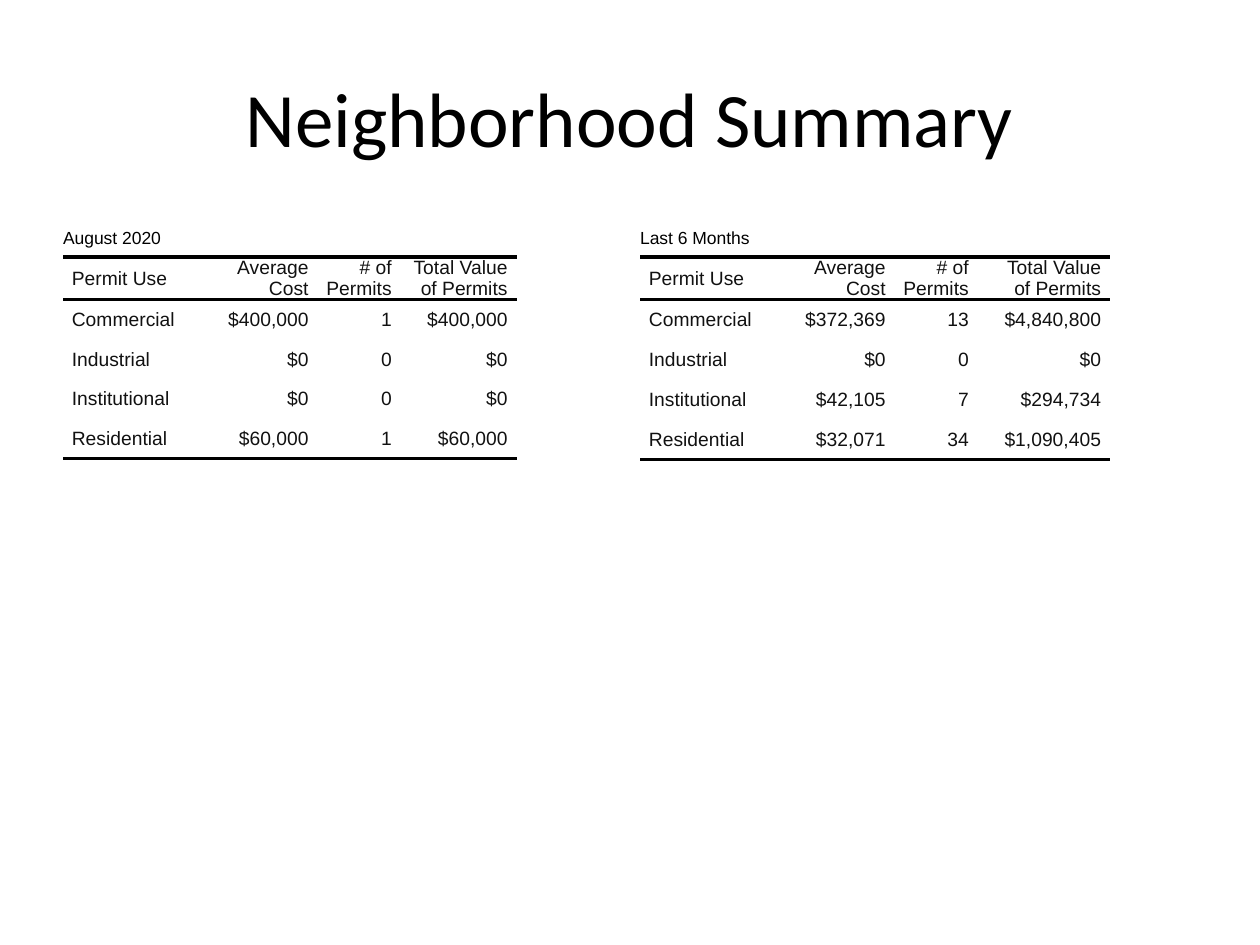
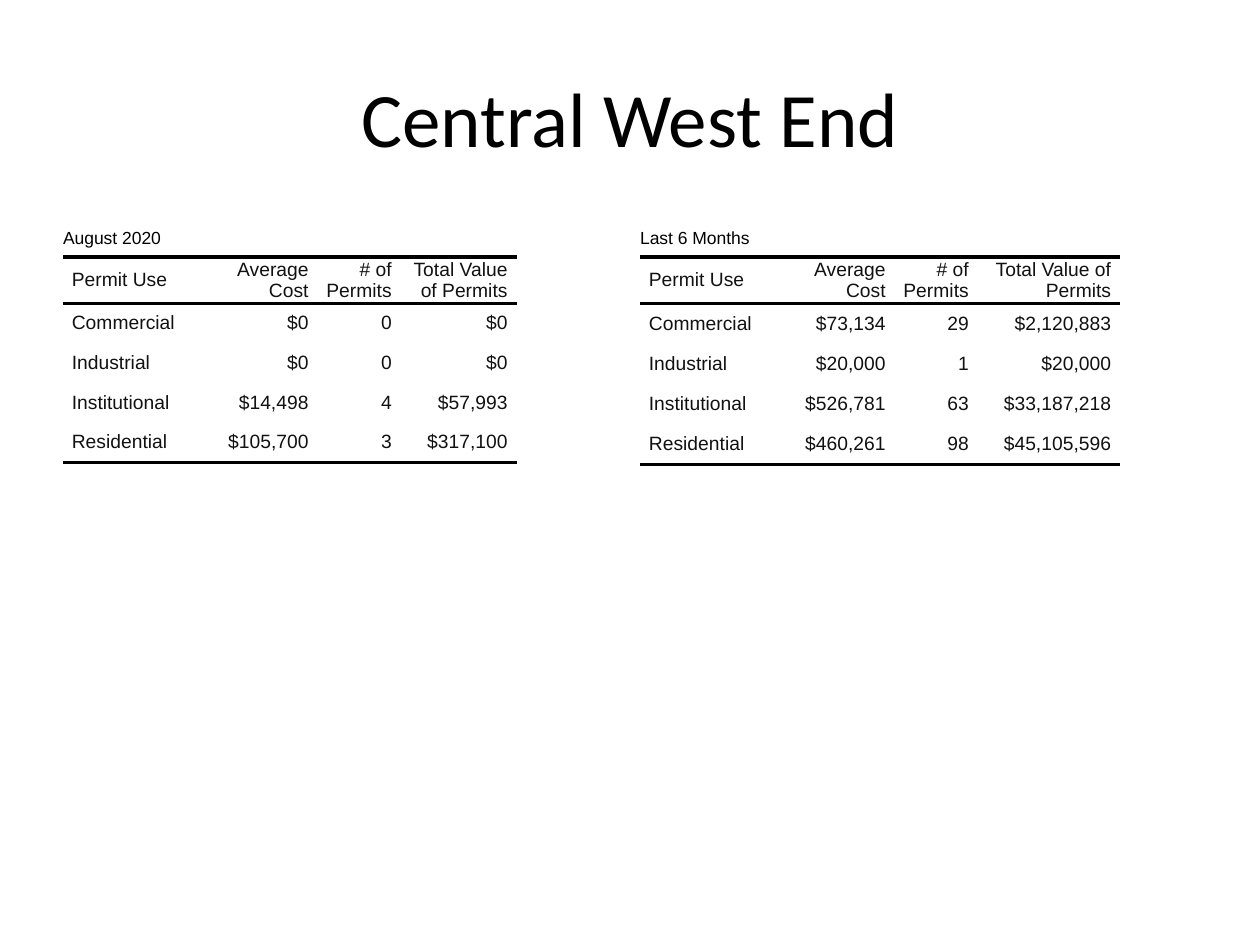
from lxml import etree
from pptx import Presentation
from pptx.dml.color import RGBColor
from pptx.enum.text import MSO_ANCHOR, PP_ALIGN
from pptx.oxml.ns import qn
from pptx.util import Inches, Pt

LEFT, MID, RIGHT = PP_ALIGN.LEFT, PP_ALIGN.CENTER, PP_ALIGN.RIGHT
MIDDLE = MSO_ANCHOR.MIDDLE
PLAIN = "{2D5ABB26-0587-4C30-8999-92F81FD0307C}"  # no style, no grid

# Slide grid: 20 columns by 15 rows
WIDE, HIGH = Inches(10), Inches(7.5)
COLS, ROWS = 20, 15

HEAD = ["Permit Use", "Average Cost", "# of Permits", "Total Value of Permits"]
USES = ["Commercial", "Industrial", "Institutional", "Residential"]

# Each table: caption, left, last column width, body height, values by use
DECK = [
    ("Neighborhood Summary", [
        ("August 2020", 1, 1.84, 2.52, [
            ("$400,000", "1", "$400,000"),
            ("$0", "0", "$0"),
            ("$0", "0", "$0"),
            ("$60,000", "1", "$60,000")]),
        ("Last 6 Months", 10.16, 2.1, 2.54, [
            ("$372,369", "13", "$4,840,800"),
            ("$0", "0", "$0"),
            ("$42,105", "7", "$294,734"),
            ("$32,071", "34", "$1,090,405")]),
    ]),
    ("Central West End", [
        ("August 2020", 1, 1.84, 2.52, [
            ("$0", "0", "$0"),
            ("$0", "0", "$0"),
            ("$14,498", "4", "$57,993"),
            ("$105,700", "3", "$317,100")]),
        ("Last 6 Months", 10.16, 2.26, 2.56, [
            ("$73,134", "29", "$2,120,883"),
            ("$20,000", "1", "$20,000"),
            ("$526,781", "63", "$33,187,218"),
            ("$460,261", "98", "$45,105,596")]),
    ]),
]


def tint(code):
    return RGBColor.from_string(code)


def across(n):
    return round(WIDE * n / COLS)


def down(n):
    return round(HIGH * n / ROWS)


class Deck:
    black, ink = "000000", "111111"
    head, sans = "Calibri", "Arial"
    pad = Inches(0.07)
    rule = Pt(2)

    def __init__(self):
        self.show = Presentation()
        self.show.slide_width, self.show.slide_height = WIDE, HIGH
        self.slide = None

    def page(self):
        self.slide = self.show.slides.add_slide(self.show.slide_layouts[6])

    def words(self, para, text, size, font, color, align=LEFT):
        para.alignment = align
        run = para.add_run()
        run.text = text
        run.font.size, run.font.name = Pt(size), font
        run.font.color.rgb = tint(color)

    def title(self, text):
        box = self.slide.shapes.add_textbox(
            across(1), down(0.6), across(18), down(2.5))
        frame = box.text_frame
        frame.word_wrap = True
        frame.vertical_anchor = MIDDLE
        self.words(frame.paragraphs[0], text, 44, self.head, self.black, MID)

    def edge(self, cell, side):
        props = cell._tc.get_or_add_tcPr()
        line = etree.SubElement(props, qn("a:" + side), w=str(self.rule))
        fill = etree.SubElement(line, qn("a:solidFill"))
        etree.SubElement(fill, qn("a:srgbClr"), val=self.black)

    def entry(self, cell, text, align):
        para = cell.text_frame.paragraphs[0]
        props = para._p.get_or_add_pPr()
        for side in ("marL", "marR"):
            props.set(side, str(self.pad))
        props.set("indent", "0")
        self.words(para, text, 11, self.sans, self.ink, align)

    def table(self, name, left, last, body, data):
        rows = [HEAD] + [[use, *vals] for use, vals in zip(USES, data)]
        wides = [2.2, 1.84, 1.32, last]
        highs = [0.58, 0.58] + [body / len(USES)] * len(USES)
        grid = self.slide.shapes.add_table(
            len(highs), len(wides), across(left), down(3.5),
            across(sum(wides)), down(sum(highs))).table
        grid.first_row = grid.horz_banding = False
        grid._tbl.tblPr.find(qn("a:tableStyleId")).text = PLAIN
        for col, wide in zip(grid.columns, wides):
            col.width = across(wide)
        for row, high in zip(grid.rows, highs):
            row.height = down(high)

        # Caption row
        first = grid.cell(0, 0)
        first.merge(grid.cell(0, len(wides) - 1))
        self.words(first.text_frame.paragraphs[0], name, 10,
                   self.sans, self.black)

        # Head and body, with rules around the head and under the last row
        for r, row in enumerate(rows, 1):
            for c, text in enumerate(row):
                cell = grid.cell(r, c)
                self.entry(cell, text, RIGHT if c else LEFT)
                if r == 1:
                    self.edge(cell, "lnT")
                if r in (1, len(rows)):
                    self.edge(cell, "lnB")

        for cell in grid.iter_cells():
            cell.margin_left = cell.margin_right = 0
            cell.margin_top = cell.margin_bottom = 0
            cell.vertical_anchor = MIDDLE
            cell.fill.background()


def main():
    deck = Deck()
    for name, tables in DECK:
        deck.page()
        for table in tables:
            deck.table(*table)
        deck.title(name)
    deck.show.save("out.pptx")


if __name__ == "__main__":
    main()
